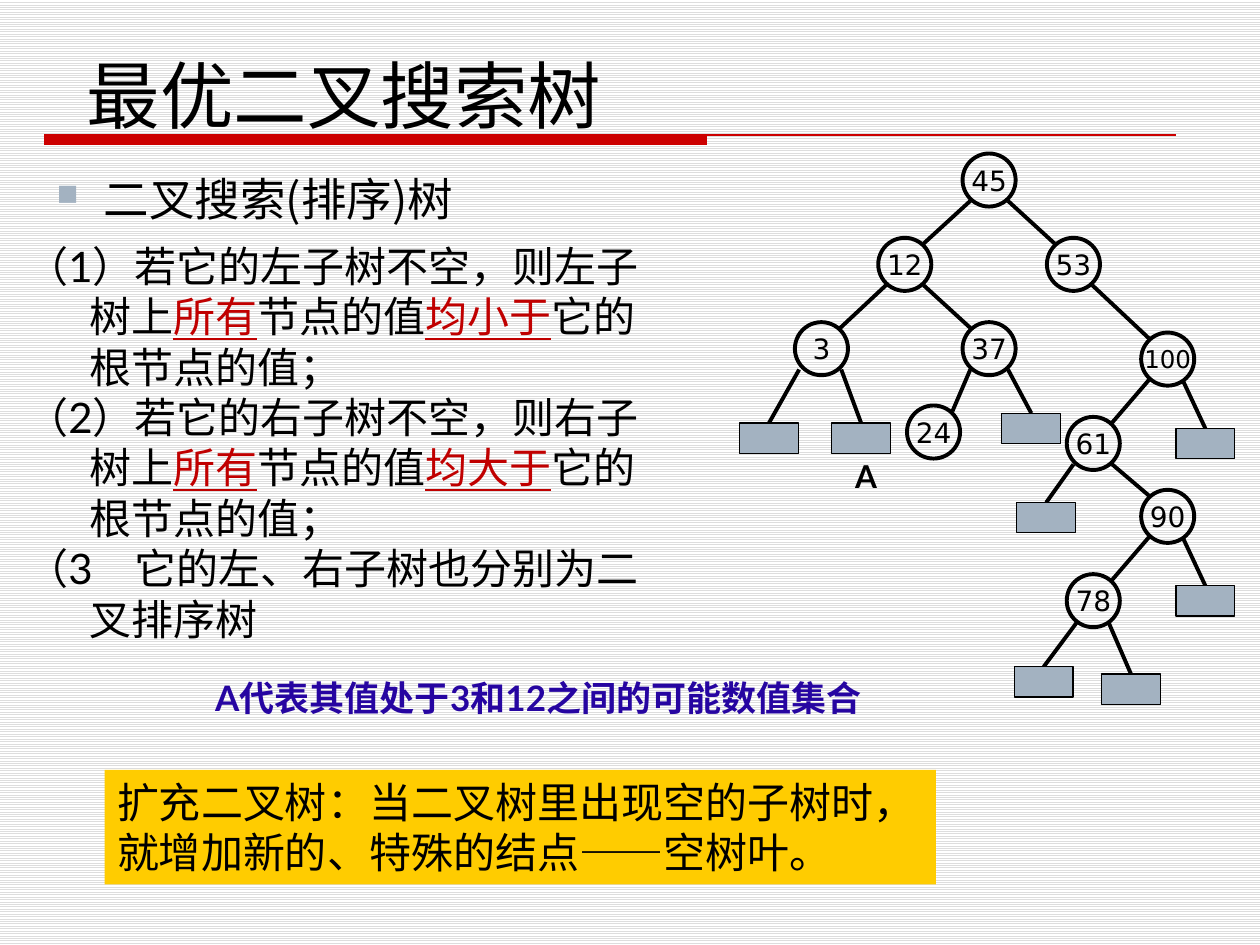
from dataclasses import dataclass

from lxml import etree
from pptx import Presentation
from pptx.dml.color import RGBColor
from pptx.enum.dml import MSO_PATTERN
from pptx.enum.shapes import MSO_CONNECTOR, MSO_SHAPE
from pptx.enum.text import MSO_ANCHOR, PP_ALIGN
from pptx.oxml.ns import qn
from pptx.util import Cm, Pt

STRAIGHT = MSO_CONNECTOR.STRAIGHT
OVAL, RECTANGLE = MSO_SHAPE.OVAL, MSO_SHAPE.RECTANGLE
TOP, BOTTOM, MIDDLE = MSO_ANCHOR.TOP, MSO_ANCHOR.BOTTOM, MSO_ANCHOR.MIDDLE
LEFT, CENTER = PP_ALIGN.LEFT, PP_ALIGN.CENTER
STRIPES = MSO_PATTERN.LIGHT_HORIZONTAL

COLORS = {
    "ink": "000000", "paper": "FFFFFF", "stripe": "DDDDDD", "rule": "CC0000",
    "accent": "C00000", "leaf": "A3B2C1", "note": "2605A1", "band": "FFCC00",
}
LATO, DEJAVU, CJK, TIMES = "Lato", "DejaVu Sans", "Noto Sans CJK SC", "Times New Roman"

# Tree measures in centimetres
DIAMETER = 1.07
PORT_X, PORT_Y = 0.38, 0.42
LEAF_WIDTH, LEAF_HEIGHT = 1.19, 0.61
LABEL_WIDTH, LABEL_HEIGHT = 2, 0.94


@dataclass
class Span:
    text: str
    color: str = "ink"
    underline: bool = False


@dataclass
class Style:
    font: str
    size: int
    bold: bool = False
    align: PP_ALIGN = LEFT
    hanging: float = 0


@dataclass
class Node:
    """A key with its centre and the key of its parent."""
    key: int
    x: float
    y: float
    parent: int | None = None
    size: int = 16


@dataclass
class Leaf:
    """An empty leaf: parent key, top centre, start of its edge from the parent's centre."""
    parent: int
    x: float
    y: float
    port: float


NODES = [
    Node(45, 19.94, 3.63),
    Node(12, 18.24, 5.33, 45), Node(53, 21.64, 5.33, 45),
    Node(3, 16.56, 7.03, 12), Node(37, 19.94, 7.03, 12),
    Node(100, 23.54, 7.24, 53, 14),
    Node(24, 18.82, 8.71, 37), Node(61, 22.04, 8.94, 100),
    Node(90, 23.54, 10.41, 61), Node(78, 22.04, 12.11, 90),
]
LEAVES = [
    Leaf(3, 15.5, 8.53, -0.45), Leaf(3, 17.36, 8.53, 0.4),
    Leaf(37, 20.79, 8.33, 0.38), Leaf(100, 24.3, 8.64, 0.3),
    Leaf(61, 21.09, 10.13, -0.4), Leaf(90, 24.3, 11.81, 0.3),
    Leaf(78, 21.04, 13.44, -0.32), Leaf(78, 22.8, 13.59, 0.3),
]


def rgb(name: str) -> RGBColor:
    return RGBColor.from_string(COLORS[name])


def write(frame, paragraphs: list[list[Span]], style: Style) -> None:
    for index, spans in enumerate(paragraphs):
        para = frame.paragraphs[0] if index == 0 else frame.add_paragraph()
        para.alignment = style.align
        if style.hanging:
            properties = para._p.get_or_add_pPr()
            properties.set("marL", str(Cm(style.hanging)))
            properties.set("indent", str(-Cm(style.hanging)))
        for part in spans:
            span = para.add_run()
            span.text = part.text
            span.font.name = style.font
            span.font.size = Pt(style.size)
            span.font.bold = style.bold
            span.font.underline = part.underline
            span.font.color.rgb = rgb(part.color)
            etree.SubElement(span._r.rPr, qn("a:ea"), typeface=CJK)


def add_text(page, left: float, top: float, width: float, height: float,
             paragraphs: list[list[Span]], style: Style,
             anchor: MSO_ANCHOR = TOP, wrap: bool = True):
    box = page.shapes.add_textbox(Cm(left), Cm(top), Cm(width), Cm(height))
    box.text_frame.word_wrap = wrap
    box.text_frame.vertical_anchor = anchor
    write(box.text_frame, paragraphs, style)
    return box


def add_box(page, kind: MSO_SHAPE, left: float, top: float, width: float, height: float,
            fill: str | None = None, line_width: float = 0):
    box = page.shapes.add_shape(kind, Cm(left), Cm(top), Cm(width), Cm(height))
    box.shadow.inherit = False
    if fill:
        box.fill.solid()
        box.fill.fore_color.rgb = rgb(fill)
    else:
        box.fill.background()
    if line_width:
        box.line.color.rgb = rgb("ink")
        box.line.width = Pt(line_width)
    else:
        box.line.fill.background()
    return box


def add_line(page, x1: float, y1: float, x2: float, y2: float,
             color: str = "ink", width: float = 2.25) -> None:
    line = page.shapes.add_connector(STRAIGHT, Cm(x1), Cm(y1), Cm(x2), Cm(y2))
    line.line.color.rgb = rgb(color)
    line.line.width = Pt(width)
    etree.SubElement(line._element.spPr, qn("a:effectLst"))


def add_bullet(para, symbol: str, color: str, percent: int) -> None:
    properties = para._p.get_or_add_pPr()
    tint = etree.SubElement(properties, qn("a:buClr"))
    etree.SubElement(tint, qn("a:srgbClr"), val=COLORS[color])
    etree.SubElement(properties, qn("a:buSzPct"), val=str(percent * 1000))
    etree.SubElement(properties, qn("a:buChar"), char=symbol)


def add_tree(page) -> None:
    by_key = {node.key: node for node in NODES}
    for node in NODES:
        add_box(page, OVAL, node.x - DIAMETER / 2, node.y - DIAMETER / 2,
                DIAMETER, DIAMETER, line_width=2.25)
        if node.parent:
            parent = by_key[node.parent]
            port = PORT_X if node.x > parent.x else -PORT_X
            add_line(page, parent.x + port, parent.y + PORT_Y, node.x - port, node.y - PORT_Y)
        add_text(page, node.x - LABEL_WIDTH / 2, node.y - LABEL_HEIGHT / 2,
                 LABEL_WIDTH, LABEL_HEIGHT, [[Span(str(node.key))]],
                 Style(DEJAVU, node.size, align=CENTER), MIDDLE, wrap=False)
    for leaf in LEAVES:
        parent = by_key[leaf.parent]
        add_line(page, parent.x + leaf.port, parent.y + PORT_Y, leaf.x, leaf.y)
        add_box(page, RECTANGLE, leaf.x - LEAF_WIDTH / 2, leaf.y,
                LEAF_WIDTH, LEAF_HEIGHT, "leaf", 0.75)


def subtree_rule(number: int, side: str, relation: str) -> list[Span]:
    return [
        Span(f"（{number}）若它的{side}子树不空，则{side}子树上"),
        Span("所有", "accent", True), Span("节点的值"),
        Span(relation, "accent", True), Span("它的根节点的值；"),
    ]


def main() -> None:
    deck = Presentation()
    deck.slide_width, deck.slide_height = Cm(25.4), Cm(19.05)
    page = deck.slides.add_slide(deck.slide_layouts[6])

    # Striped background
    fill = page.background.fill
    fill.patterned()
    fill.pattern = STRIPES
    fill.fore_color.rgb, fill.back_color.rgb = rgb("stripe"), rgb("paper")

    # Title and its rule
    add_box(page, RECTANGLE, 0.89, 2.72, 13.36, 0.2, "rule")
    add_line(page, 0.89, 2.72, 23.7, 2.72, "rule", 0.75)
    add_text(page, 1.5, 0.71, 20.4, 2.21, [[Span("最优二叉搜索树")]], Style(TIMES, 42), BOTTOM)

    # Definition
    heading = add_text(page, 0.89, 3.33, 21.59, 11.43, [[Span("二叉搜索(排序)树")]],
                       Style(CJK, 26, hanging=0.95))
    add_bullet(heading.text_frame.paragraphs[0], "■", "leaf", 65)
    add_text(page, 0.28, 4.72, 13.61, 8.46, [
        subtree_rule(1, "左", "均小于"),
        subtree_rule(2, "右", "均大于"),
        [Span("（3　它的左、右子树也分别为二叉排序树")],
    ], Style(LATO, 24, hanging=1.27))

    # Extended tree
    add_tree(page)
    add_text(page, 16.99, 9.09, 0.94, 1.02, [[Span("A")]], Style(LATO, 18, True), wrap=False)

    # Notes under the tree
    band = add_box(page, RECTANGLE, 2.11, 15.52, 16.76, 2.31, "band")
    band.text_frame.word_wrap = False
    band.text_frame.vertical_anchor = TOP
    write(band.text_frame, [
        [Span("扩充二叉树：当二叉树里出现空的子树时，")],
        [Span("就增加新的、特殊的结点——空树叶。")],
    ], Style(DEJAVU, 24))
    add_text(page, 4.09, 13.51, 13.84, 1.12,
             [[Span("A代表其值处于3和12之间的可能数值集合", "note")]], Style(LATO, 20, True))

    deck.save("out.pptx")


if __name__ == "__main__":
    main()
